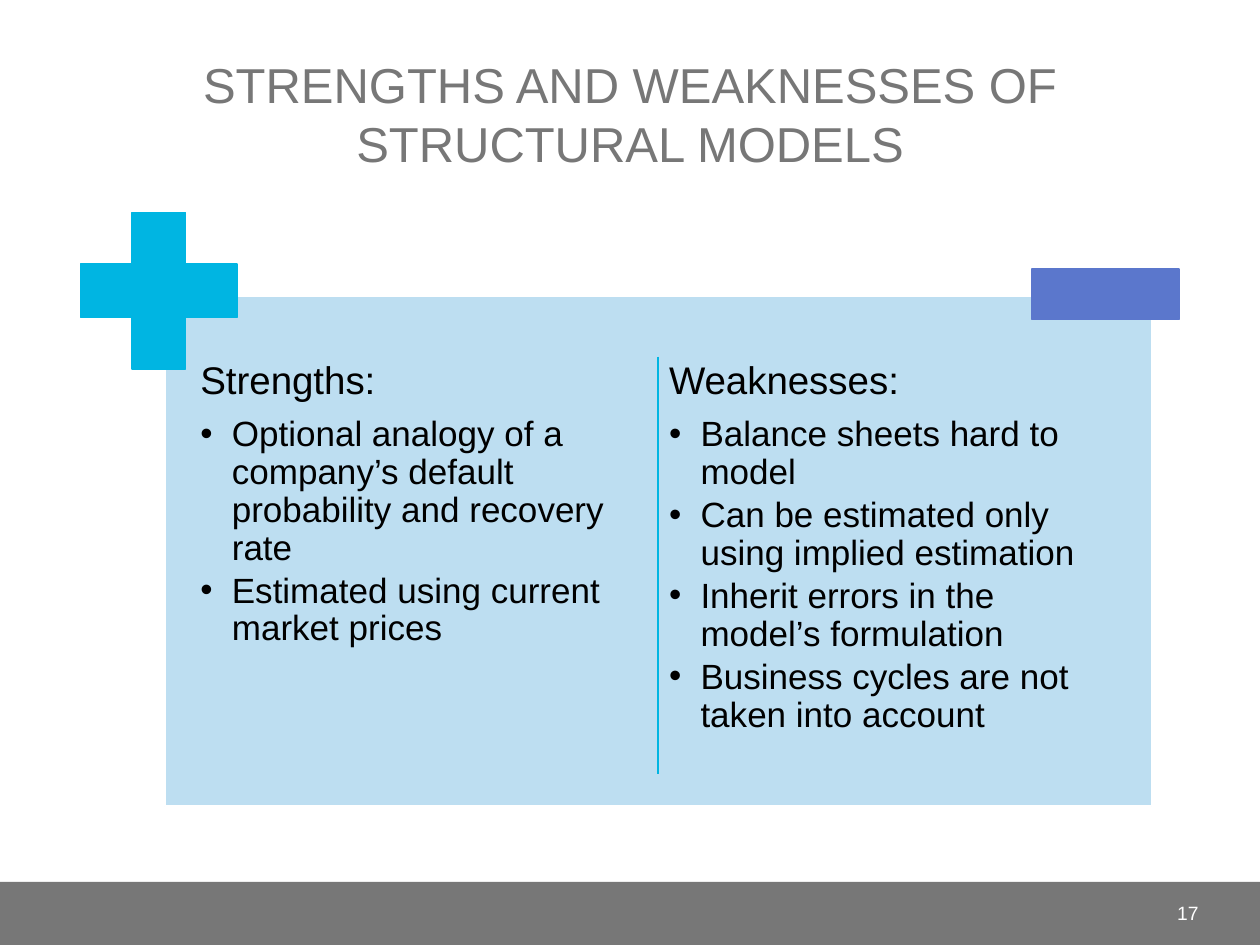
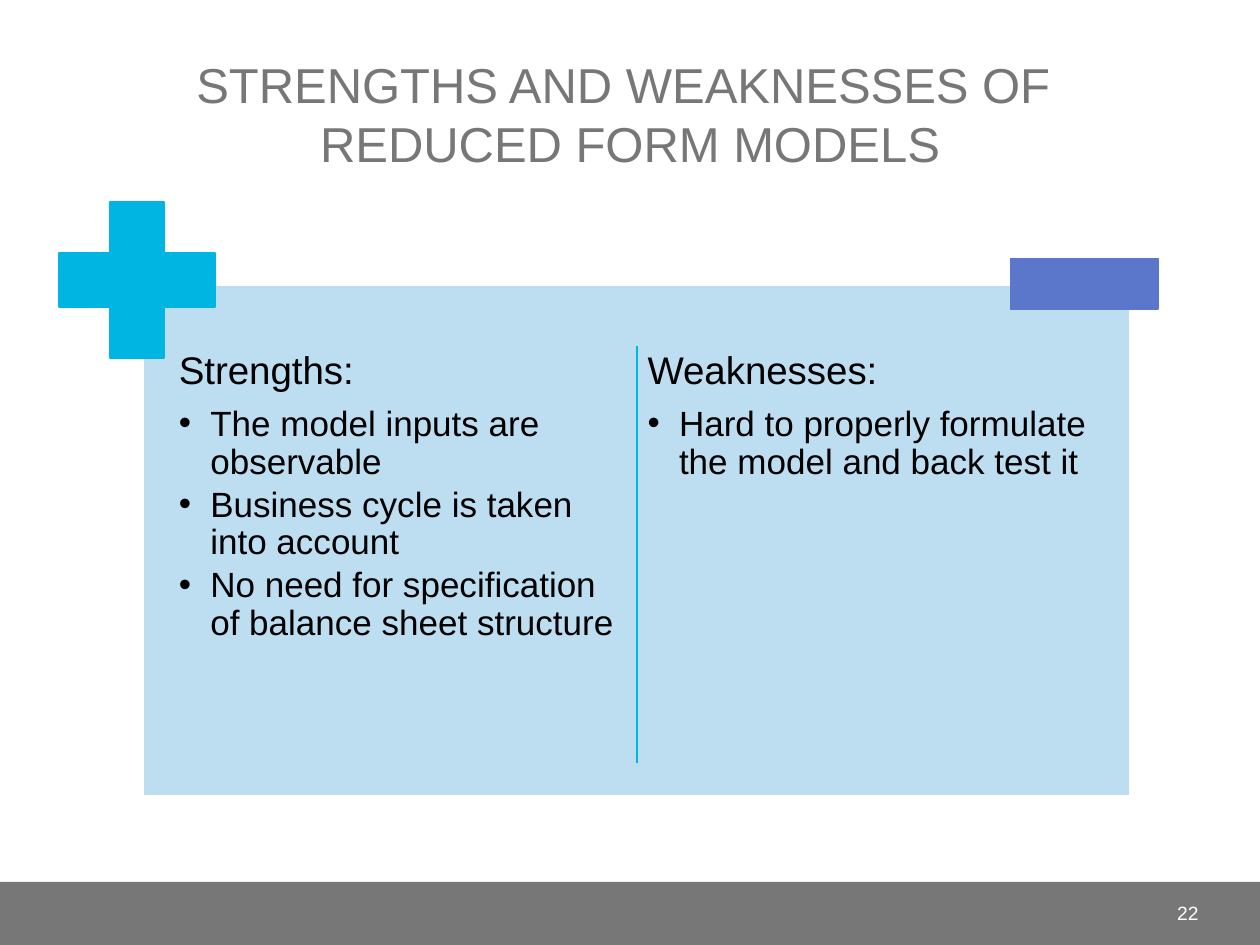
from pptx import Presentation
from pptx.dml.color import RGBColor
from pptx.enum.shapes import MSO_CONNECTOR, MSO_SHAPE
from pptx.enum.text import MSO_ANCHOR, PP_ALIGN
from pptx.oxml.ns import qn
from pptx.util import Pt
from lxml import etree

RECTANGLE, PLUS = MSO_SHAPE.RECTANGLE, MSO_SHAPE.CROSS
STRAIGHT = MSO_CONNECTOR.STRAIGHT
TOP, MIDDLE, BOTTOM = MSO_ANCHOR.TOP, MSO_ANCHOR.MIDDLE, MSO_ANCHOR.BOTTOM
LEFT, CENTER, RIGHT = PP_ALIGN.LEFT, PP_ALIGN.CENTER, PP_ALIGN.RIGHT

FONT = "Arial"
GRAY, WHITE, BLACK = "777777", "FFFFFF", "000000"
PALE_BLUE, CYAN, INDIGO = "BDDEF1", "00B5E2", "5B77CC"
BLANK_LAYOUT = 6
SLIDE_WIDTH, SLIDE_HEIGHT, FOOTER_HEIGHT = 720, 540, 36
BULLET_INDENT = 18

SLIDES = [
    {
        "number": "17",
        "title": "STRENGTHS AND WEAKNESSES OF STRUCTURAL MODELS",
        "panel": (94.3, 169.2),
        "strengths": [
            "Optional analogy of a company’s default probability and recovery rate",
            "Estimated using current market prices",
        ],
        "weaknesses": [
            "Balance sheets hard to model",
            "Can be estimated only using implied estimation",
            "Inherit errors in the model’s formulation",
            "Business cycles are not taken into account",
        ],
    },
    {
        "number": "22",
        "title": "STRENGTHS AND WEAKNESSES OF \vREDUCED FORM MODELS",
        "panel": (82, 163.2),
        "strengths": [
            "The model inputs are observable",
            "Business cycle is taken into account",
            "No need for specification of balance sheet structure",
        ],
        "weaknesses": ["Hard to properly formulate the model and back test it"],
    },
]


def color(value):
    return RGBColor.from_string(value)


def add_block(page, kind, left, top, width, height, fill, line=None):
    block = page.shapes.add_shape(kind, Pt(left), Pt(top), Pt(width), Pt(height))
    block.shadow.inherit = False
    block.fill.solid()
    block.fill.fore_color.rgb = color(fill)
    if line:
        block.line.color.rgb = color(line)
        block.line.width = Pt(1)
    else:
        block.line.fill.background()
    return block


def add_frame(page, left, top, width, height, anchor):
    box = page.shapes.add_textbox(Pt(left), Pt(top), Pt(width), Pt(height))
    frame = box.text_frame
    frame.word_wrap = True
    frame.vertical_anchor = anchor
    return frame


def write(para, text, size, ink, align=LEFT):
    para.text = text
    para.alignment = align
    for span in para.runs:
        span.font.name = FONT
        span.font.size = Pt(size)
        span.font.color.rgb = color(ink)


def add_bullet(para):
    properties = para._p.get_or_add_pPr()
    properties.set("marL", str(Pt(BULLET_INDENT)))
    properties.set("indent", str(-Pt(BULLET_INDENT)))
    etree.SubElement(properties, qn("a:buFont")).set("typeface", FONT)
    etree.SubElement(properties, qn("a:buChar")).set("char", "•")


def add_column(page, left, top, heading, points):
    frame = add_frame(page, left, top, 262, 249, TOP)
    frame.margin_left = frame.margin_right = Pt(3.6)
    frame.margin_top = frame.margin_bottom = Pt(3.6)
    head = frame.paragraphs[0]
    write(head, heading, 22, BLACK)
    head.line_spacing = 0.9
    head.space_after = Pt(7.7)
    for point in points:
        para = frame.add_paragraph()
        write(para, point, 20, BLACK)
        para.line_spacing = 0.9
        para.space_after = Pt(3)
        add_bullet(para)


def add_divider(page, x, top, length):
    divider = page.shapes.add_connector(STRAIGHT, Pt(x), Pt(top), Pt(x), Pt(top + length))
    divider.line.color.rgb = color(CYAN)
    divider.line.width = Pt(1)
    etree.SubElement(divider._element.spPr, qn("a:effectLst"))


def add_comparison(page, left, top, strengths, weaknesses):
    add_block(page, RECTANGLE, left, top, 563.8, 291.6, PALE_BLUE, WHITE)
    add_column(page, left + 16.6, top + 33.8, "Strengths:", strengths)
    add_column(page, left + 284.4, top + 33.8, "Weaknesses:", weaknesses)
    plus = add_block(page, PLUS, left - 48.2, top - 47.8, 89.3, 89.3, CYAN, CYAN)
    plus.adjustments[0] = 0.328
    add_block(page, RECTANGLE, left + 495.4, top - 15.4, 84.2, 28.8, INDIGO, INDIGO)
    add_divider(page, left + 281.8, top + 34.6, 238.3)


def add_base(deck, title, number):
    page = deck.slides.add_slide(deck.slide_layouts[BLANK_LAYOUT])
    add_block(page, RECTANGLE, 0, SLIDE_HEIGHT - FOOTER_HEIGHT, SLIDE_WIDTH, FOOTER_HEIGHT, GRAY)
    title_frame = add_frame(page, 30, 12.2, 660, 90, BOTTOM)
    write(title_frame.paragraphs[0], title, 28, GRAY, CENTER)
    number_frame = add_frame(page, 630, 507, 62, 28.8, MIDDLE)
    write(number_frame.paragraphs[0], number, 11, WHITE, RIGHT)
    return page


def main():
    deck = Presentation()
    deck.slide_width, deck.slide_height = Pt(SLIDE_WIDTH), Pt(SLIDE_HEIGHT)
    for content in SLIDES:
        page = add_base(deck, content["title"], content["number"])
        add_comparison(page, *content["panel"], content["strengths"], content["weaknesses"])
    deck.save("out.pptx")


if __name__ == "__main__":
    main()
